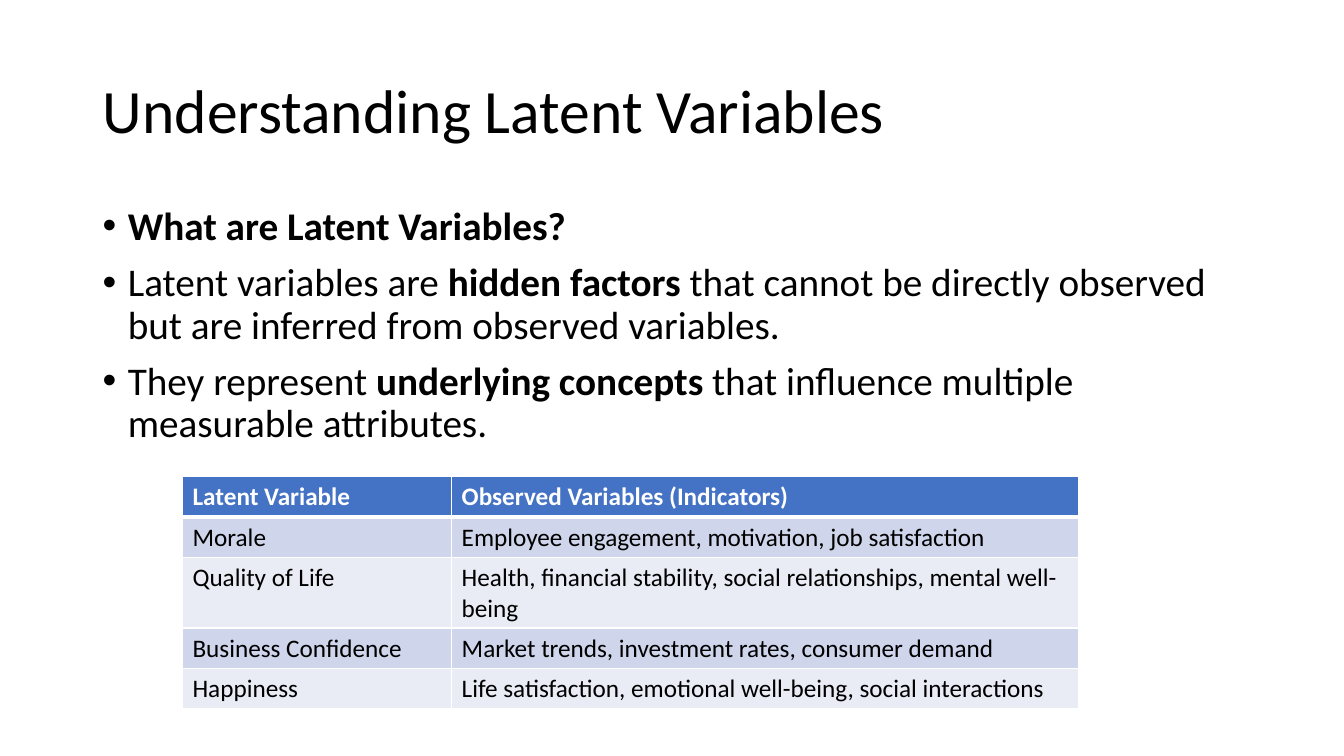
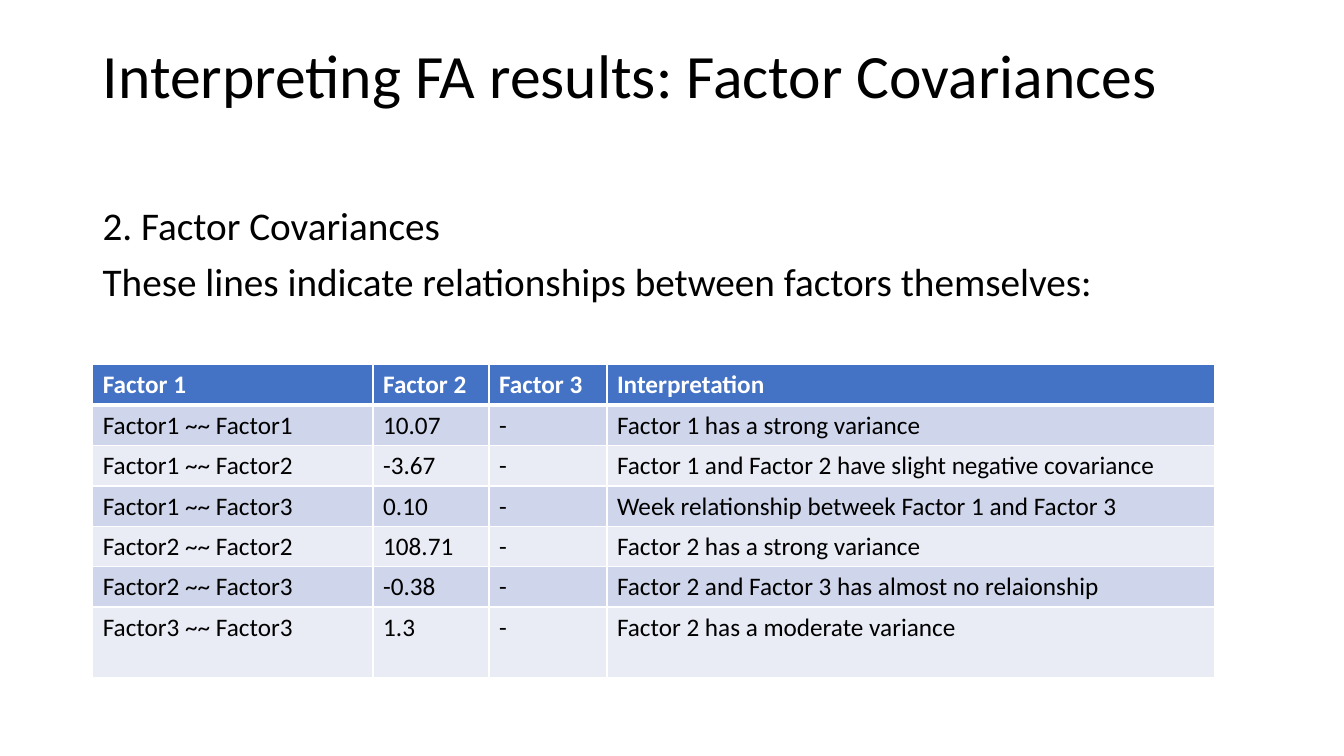
"""Build two slides on latent variables and factor covariances."""
from lxml import etree
from pptx import Presentation, util as u
from pptx.dml import color
from pptx.enum import text
from pptx.oxml import ns

COLORS = {"ink": "000000", "paper": "FFFFFF", "header": "4472C4",
          "odd": "CFD5EA", "even": "E9EBF5"}
FONT = "Calibri"
TITLE_AREA = (0.92, 0.4, 11.5, 1.45)
BODY_AREA = (0.92, 2, 11.5, 4.76)
ROW, TALL_ROW = 0.4, 0.7
THIN, THICK = 1, 3
INDENT = 0.25

SLIDES = [
    {
        "title": "Understanding Latent Variables",
        "anchor": text.MSO_ANCHOR.MIDDLE,
        "bullets": True,
        "body": [
            [("What are Latent Variables?", True)],
            [("Latent variables are ", False), ("hidden factors", True),
             (" that cannot be directly observed but are inferred from observed variables.", False)],
            [("They represent ", False), ("underlying concepts", True),
             (" that influence multiple measurable attributes.", False)],
        ],
        "corner": (1.81, 4.73),
        "columns": [2.67, 6.22],
        "tall": 2,
        "rows": [
            ("Latent Variable", "Observed Variables (Indicators)"),
            ("Morale", "Employee engagement, motivation, job satisfaction"),
            ("Quality of Life", "Health, financial stability, social relationships, mental well-being"),
            ("Business Confidence", "Market trends, investment rates, consumer demand"),
            ("Happiness", "Life satisfaction, emotional well-being, social interactions"),
        ],
    },
    {
        "title": "Interpreting FA results: Factor Covariances",
        "anchor": text.MSO_ANCHOR.TOP,
        "bullets": False,
        "body": [
            [("2. Factor Covariances", False)],
            [("These lines indicate relationships between factors themselves:", False)],
        ],
        "corner": (0.92, 3.62),
        "columns": [2.78, 1.15, 1.17, 6.03],
        "tall": 6,
        "rows": [
            ("Factor 1", "Factor 2", "Factor 3", "Interpretation"),
            ("Factor1 ~~ Factor1", "10.07", "-", "Factor 1 has a strong variance"),
            ("Factor1 ~~ Factor2", "-3.67", "-", "Factor 1 and Factor 2 have slight negative covariance"),
            ("Factor1 ~~ Factor3", "0.10", "-", "Week relationship betweek Factor 1 and Factor 3"),
            ("Factor2 ~~ Factor2", "108.71", "-", "Factor 2 has a strong variance"),
            ("Factor2 ~~ Factor3", "-0.38", "-", "Factor 2 and Factor 3 has almost no relaionship"),
            ("Factor3 ~~ Factor3", "1.3", "-", "Factor 2 has a moderate variance"),
        ],
    },
]


def rgb(name):
    return color.RGBColor.from_string(COLORS[name])


def apply(target, values):
    for name, value in values.items():
        setattr(target, name, value)


def place(shape, area):
    apply(shape, dict(zip(("left", "top", "width", "height"), map(u.Inches, area))))


def add_span(para, words, size, ink="ink", bold=False):
    span = para.add_run()
    span.text = words
    apply(span.font, {"name": FONT, "size": u.Pt(size), "bold": bold})
    span.font.color.rgb = rgb(ink)


def add_bullet(para):
    props = para._p.get_or_add_pPr()
    props.set("marL", str(u.Inches(INDENT)))
    props.set("indent", str(u.Inches(-INDENT)))
    etree.SubElement(props, ns.qn("a:buFont"), typeface="Arial")
    etree.SubElement(props, ns.qn("a:buChar"), char="•")


def add_title(page, words, anchor):
    title = page.shapes.title
    place(title, TITLE_AREA)
    apply(title.text_frame, {"vertical_anchor": anchor, "word_wrap": True,
                             "auto_size": text.MSO_AUTO_SIZE.NONE})
    para = title.text_frame.paragraphs[0]
    apply(para, {"alignment": text.PP_ALIGN.LEFT, "line_spacing": 0.9})
    add_span(para, words, 44)


def add_body(page, lines, bullets):
    box = page.shapes.add_textbox(*map(u.Inches, BODY_AREA))
    box.text_frame.word_wrap = True
    for index, line in enumerate(lines):
        para = box.text_frame.add_paragraph() if index else box.text_frame.paragraphs[0]
        apply(para, {"line_spacing": 0.9, "space_before": u.Pt(10)})
        if bullets:
            add_bullet(para)
        for words, bold in line:
            add_span(para, words, 28, bold=bold)


def add_borders(cell, widths):
    props = cell._tc.get_or_add_tcPr()
    for side, width in widths.items():
        line = etree.SubElement(props, ns.qn(f"a:ln{side}"), w=str(u.Pt(width)))
        fill = etree.SubElement(line, ns.qn("a:solidFill"))
        etree.SubElement(fill, ns.qn("a:srgbClr"), val=COLORS["paper"])


def add_grid(page, corner, columns, rows, tall):
    heights = [TALL_ROW if index == tall else ROW for index in range(len(rows))]
    area = (*corner, sum(columns), sum(heights))
    grid = page.shapes.add_table(len(rows), len(columns), *map(u.Inches, area)).table
    for column, width in zip(grid.columns, columns):
        column.width = u.Inches(width)
    for index, (row, height, values) in enumerate(zip(grid.rows, heights, rows)):
        row.height = u.Inches(height)
        header = index == 0
        fill = "header" if header else ("even", "odd")[index % 2]
        widths = {"L": THIN, "R": THIN, "T": THICK if index == 1 else THIN,
                  "B": THICK if header else THIN}
        for cell, words in zip(row.cells, values):
            add_borders(cell, widths)
            cell.fill.solid()
            cell.fill.fore_color.rgb = rgb(fill)
            add_span(cell.text_frame.paragraphs[0], words, 18,
                     "paper" if header else "ink", header)


def main():
    deck = Presentation()
    apply(deck, {"slide_width": u.Inches(13.33), "slide_height": u.Inches(7.5)})
    for content in SLIDES:
        page = deck.slides.add_slide(deck.slide_layouts.get_by_name("Title Only"))
        add_title(page, content["title"], content["anchor"])
        add_body(page, content["body"], content["bullets"])
        add_grid(page, content["corner"], content["columns"], content["rows"], content["tall"])
    deck.save("out.pptx")


if __name__ == "__main__":
    main()
